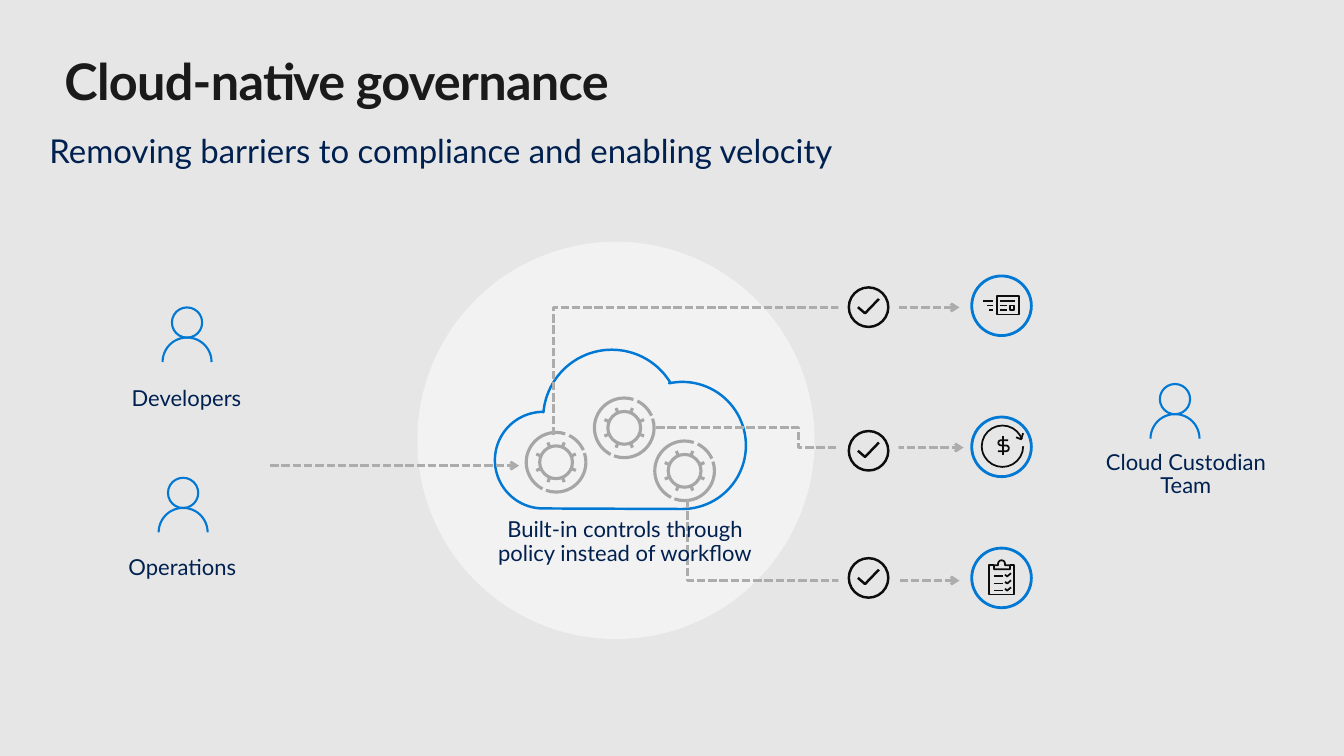
from math import ceil, cos, sin, radians
from lxml import etree
from pptx import Presentation
from pptx.dml.color import RGBColor
from pptx.enum.dml import MSO_LINE
from pptx.enum.shapes import MSO_CONNECTOR, MSO_SHAPE
from pptx.enum.text import MSO_ANCHOR, PP_ALIGN
from pptx.oxml.ns import qn
from pptx.util import Pt

OVAL, STRAIGHT, DASH = MSO_SHAPE.OVAL, MSO_CONNECTOR.STRAIGHT, MSO_LINE.SQUARE_DOT
LEFT, CENTER = PP_ALIGN.LEFT, PP_ALIGN.CENTER
TOP, MIDDLE = MSO_ANCHOR.TOP, MSO_ANCHOR.MIDDLE
PAGE, HALO = RGBColor(0xE6, 0xE6, 0xE6), RGBColor(0xF2, 0xF2, 0xF2)
BLUE, NAVY = RGBColor(0x00, 0x78, 0xD4), RGBColor(0x00, 0x20, 0x50)
TITLE_INK, ICON_INK = RGBColor(0x1A, 0x1A, 0x1A), RGBColor(0x0D, 0x0D, 0x0D)
GEAR_GRAY, LINK_GRAY = RGBColor(0xA6, 0xA6, 0xA6), RGBColor(0xAC, 0xAC, 0xAC)
FONT = "Lato"

# Content: text, (left, top, width, height)
TITLE = ("Cloud-native governance", (46, 36, 867.6, 43.9))
SUBTITLE = ("Removing barriers to compliance and enabling velocity",
            (35.3, 96.5, 813.3, 26.5))
LABELS = [
    ("Developers", (68.4, 276.4, 129.6, 17.3)),
    ("Operations", (65.5, 397.7, 129.6, 17.3)),
    ("Cloud Custodian Team", (774, 321.9, 146.2, 34.6)),
    ("Built-in controls through policy instead of workflow", (346.3, 370.1, 200.2, 34.6)),
]
HEADS = [(133.6, 230.4), (130.8, 352.1), (839.3, 285.1)]
GEARS = [(397.2, 330.2), (445.9, 305.6), (489, 336.3)]
LINKS = [
    [(395.3, 311), (395.3, 219.6), (685.4, 219.6)],
    [(491, 357.1), (491, 414.7), (685.4, 414.7)],
    [(468.7, 305.3), (570.2, 305.3), (570.2, 319.7), (688.3, 319.7)],
]
CHECK_X, CHECK_ROWS = 620.4, [219.4, 322, 412.8]
BADGE_X = 715.4

# Icon strokes around the icon centre: points (x, y) and
# arcs (x, y, radius, start, end) in degrees, growing clockwise
CLOUD = [[(487.4, 318.2, 45.4, 90, -102), (437, 298.8, 49, -31.5, -175),
          (388, 328.7, 34.5, -90, -270)]]
PERSON = [[(0, 0, 10.8, 0, 360)], [(0, 28.2, 17.5, 0, -180)]]
GEAR = [[(0, 0, 11.7, 0, 360)], [(0, 0, 21.3, -72, -243)],
        [(0, 0, 21.3, 110, -18)], [(0, 0, 21.3, -24, -64)]]
for k in range(8):
    a = radians(22.5 + 45 * k)
    GEAR.append([(r * cos(a), r * sin(a)) for r in (15.3, 11.7)])
CHECK = [[(0, 0, 14.1, 0, 360)], [(-7.6, 0), (-2.5, 4.4), (7.4, -5.9)]]
MAIL = [
    [(-6.1, -0.2), (-10.4, -0.2)], [(-6.1, -3.3), (-13, -3.3)], [(-6.1, 3.2), (-9, 3.2)],
    [(12.6, -6.7), (-3.2, -6.7), (-3.2, 6.3), (12.6, 6.3), (12.6, -6.7)],
    [(4, -0.2), (-1.1, -0.2)], [(9.7, -3.3), (-1.1, -3.3)], [(4, 3.2), (-1.1, 3.2)],
    [(9, -0.2), (6.1, -0.2), (6.1, 3.2), (9, 3.2), (9, -0.2)],
]
MONEY = [
    [(0.7, -0.4, 14.8, 0, 340)], [(10.4, -6.8), (14, -5.4), (15.5, -9.7)],
    [(-2.5, 3.2), (3.2, 1.1, 2.1, 90, -90), (-0.4, -2.85, 1.85, 90, 270), (4.7, -4.7)],
    [(0.9, -7.6), (0.9, 6.1)],
]
CHECKLIST = [
    [(0, -10.1, 2.5, -180, 0), (2.5, -9), (6.1, -9), (6.1, -6.1), (-5.4, -6.1),
     (-5.4, -9), (-2.5, -9), (-2.5, -10.1)],
    [(-5.4, -9), (-9, -9), (-9, 11.9), (9, 11.9), (9, -9), (6.1, -9)],
]
for y in (-1.1, 4, 9):
    CHECKLIST += [[(-5.4, y), (1.1, y)], [(2.5, y - 1.2), (4, y + 0.1), (6.8, y - 2.2)]]
BADGES = [(412.8, CHECKLIST), (319.2, MONEY), (218.4, MAIL)]

prs = Presentation()
prs.slide_width, prs.slide_height = Pt(960), Pt(540)
slide = prs.slides.add_slide(prs.slide_layouts[6])
slide.background.fill.solid()
slide.background.fill.fore_color.rgb = PAGE
shapes = slide.shapes


def paint(sp, fill=None, line=None, width=1):
    sp.shadow.inherit = False
    if fill is None:
        sp.fill.background()
    else:
        sp.fill.solid()
        sp.fill.fore_color.rgb = fill
    if line is None:
        sp.line.fill.background()
    else:
        sp.line.color.rgb = line
        sp.line.width = Pt(width)


def circle(cx, cy, r, **style):
    sp = shapes.add_shape(OVAL, Pt(cx - r), Pt(cy - r), Pt(2 * r), Pt(2 * r))
    paint(sp, **style)


def trace(item):
    """Points that a stroke item passes through."""
    if len(item) == 2:
        return [item]
    x, y, r, start, end = item
    angles = [radians(start + (end - start) * i / 72) for i in range(73)]
    return [(x + r * cos(a), y + r * sin(a)) for a in angles]


def draw(strokes, cx=0, cy=0, close=False, **style):
    """One freeform made of several strokes around a centre."""
    pts = [(Pt(cx + x), Pt(cy + y)) for s in strokes for item in s for x, y in trace(item)]
    builder = shapes.build_freeform(*pts[0], scale=1.0)
    builder.add_line_segments(pts[1:], close=False)
    sp = builder.convert_to_shape()
    paint(sp, **style)

    # True arcs within the outline's extent
    path = next(sp._element.iter(qn("a:path")))
    for child in list(path):
        path.remove(child)
    for stroke in strokes:
        for i, item in enumerate(stroke):
            x, y = trace(item)[0]
            step = etree.SubElement(path, qn("a:lnTo" if i else "a:moveTo"))
            etree.SubElement(step, qn("a:pt"), x=str(Pt(cx + x) - sp.left),
                             y=str(Pt(cy + y) - sp.top))
            if len(item) == 5:
                radius, start, sweep = str(Pt(item[2])), item[3], item[4] - item[3]
                parts = ceil(abs(sweep) / 180)
                for k in range(parts):
                    angle = (start + sweep * k / parts) % 360
                    etree.SubElement(path, qn("a:arcTo"), wR=radius, hR=radius,
                                     stAng=str(round(angle * 60000)),
                                     swAng=str(round(sweep / parts * 60000)))
        if close:
            etree.SubElement(path, qn("a:close"))
    return sp


def dash_arrow(sp):
    sp.line.color.rgb = LINK_GRAY
    sp.line.width = Pt(2)
    sp.line.dash_style = DASH
    etree.SubElement(sp.line._get_or_add_ln(), qn("a:tailEnd"), type="arrow")


def text(content, box, size, color=NAVY, align=LEFT, anchor=TOP, spacing=0.9, bold=False):
    sp = shapes.add_textbox(*[Pt(v) for v in box])
    tf = sp.text_frame
    tf.word_wrap = True
    tf.vertical_anchor = anchor
    tf.margin_left = tf.margin_right = tf.margin_top = tf.margin_bottom = 0
    tf.text = content
    p = tf.paragraphs[0]
    p.alignment, p.line_spacing = align, spacing
    r = p.runs[0]
    r.font.name, r.font.size, r.font.bold = FONT, Pt(size), bold
    r.font.color.rgb = color
    return r


# Halo, cloud and headings
circle(440, 314.6, 141.9, fill=HALO)
draw(CLOUD, close=True, fill=HALO, line=BLUE, width=1.75)
title = text(*TITLE, 36, color=TITLE_INK, spacing=1.0, bold=True)
title._r.get_or_add_rPr().set("spc", "-50")
text(*SUBTITLE, 23.5)

# Outcome badges
for y, icon in BADGES:
    circle(BADGE_X, y, 28.1, fill=PAGE)
    circle(BADGE_X, y, 21.3, line=BLUE, width=2)
    draw(icon, BADGE_X, y, line=ICON_INK, width=1.25)

# Incoming arrow, gears and outgoing arrows
inflow = shapes.add_connector(STRAIGHT, Pt(193), Pt(332.6), Pt(370.8), Pt(332.6))
dash_arrow(inflow)
etree.SubElement(inflow._element.spPr, qn("a:effectLst"))
for x, y in GEARS:
    draw(GEAR, x, y, line=GEAR_GRAY, width=2.25)
for link in LINKS:
    dash_arrow(draw([link]))

# Check marks over the links
for y in CHECK_ROWS:
    circle(CHECK_X, y, 21.6, fill=PAGE)
    draw(CHECK, CHECK_X, y, fill=PAGE, line=ICON_INK, width=1.75)

# People and labels
for x, y in HEADS:
    draw(PERSON, x, y, line=BLUE, width=1.5)
for content, box in LABELS:
    text(content, box, 15.7, align=CENTER, anchor=MIDDLE)

prs.save("out.pptx")
